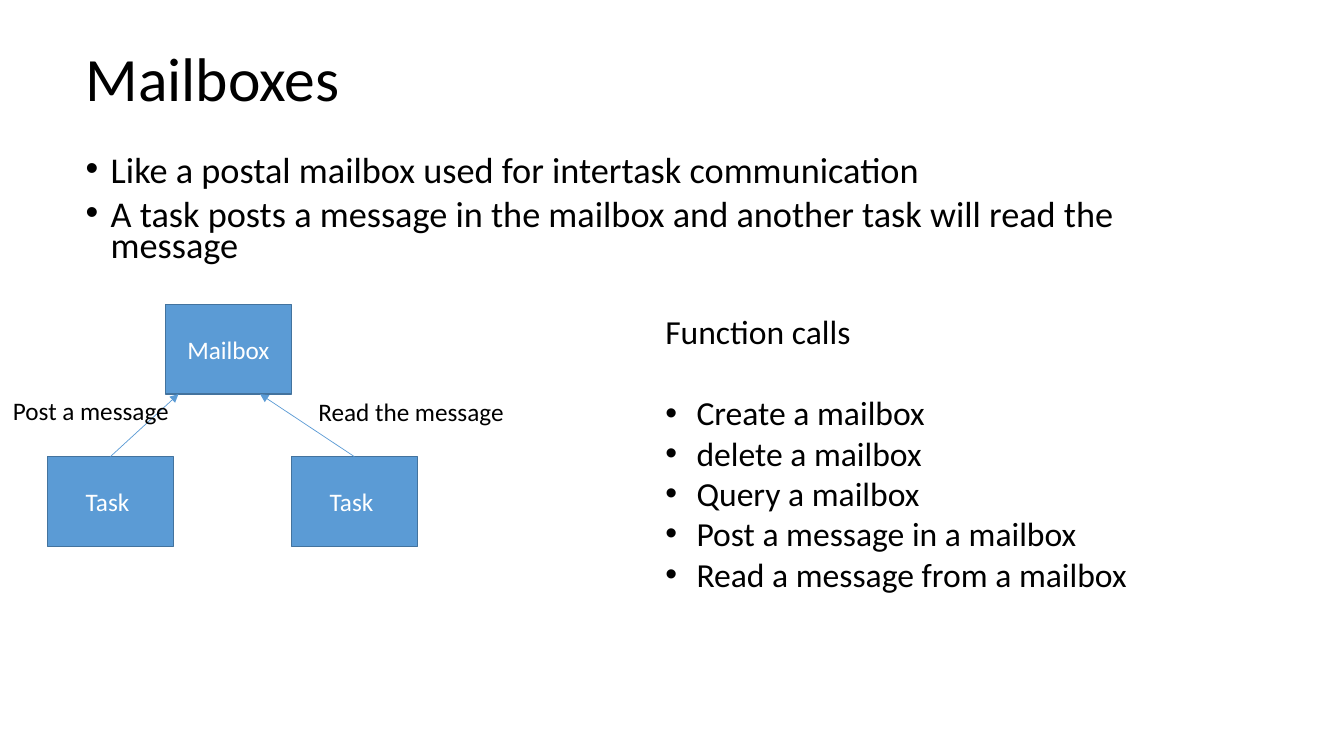
import pptx
import pptx.util
import pptx.dml.color
import pptx.enum.text
import pptx.enum.shapes
import pptx.oxml.ns
import lxml.etree

WIDE, HIGH = 13.33, 7.5
FONT = "Calibri"
BLACK, WHITE, BLUE, EDGE = "000000", "FFFFFF", "5B9BD5", "43739E"

TITLE = "Mailboxes"
POINTS = [
    "Like a postal mailbox used for intertask communication",
    "A task posts a message in the mailbox and another task will read the message",
]
CALLS = [
    "Create a mailbox",
    "delete a mailbox",
    "Query a mailbox",
    "Post a message in a mailbox",
    "Read a message from a mailbox",
]
HEAD = "Function calls"
BOX = (1.25, 0.89)
TOP, LOW = 3.02, 4.53
MAIL = ("Mailbox", 1.64, TOP)
TASKS = [("Task ", 2.89, LOW, 2.58), ("Task ", 0.47, LOW, 1.77)]
LABELS = [
    ("Post a message", (0.03, 3.87, 1.76, 0.4)),
    ("Read the message", (3.06, 3.88, 2.06, 0.4)),
]

inch = pptx.util.Inches
pts = pptx.util.Pt
align = pptx.enum.text.PP_ALIGN
anchor = pptx.enum.text.MSO_ANCHOR
fit = pptx.enum.text.MSO_AUTO_SIZE
kinds = pptx.enum.shapes

deck = pptx.Presentation()
deck.slide_width, deck.slide_height = inch(WIDE), inch(HIGH)
slide = deck.slides.add_slide(deck.slide_layouts[6])


def color(code):
    return pptx.dml.color.RGBColor.from_string(code)


def child(node, tag, **attrs):
    return lxml.etree.SubElement(node, pptx.oxml.ns.qn(tag), attrs)


def write(frame, lines, size, tint=BLACK, first=0, dent=0):
    paras = []
    for i, line in enumerate(lines):
        para = frame.paragraphs[0] if i == 0 else frame.add_paragraph()
        para.text = line
        if dent and i >= first:
            props = para._p.get_or_add_pPr()
            props.set("marL", str(inch(dent)))
            props.set("indent", str(-inch(dent)))
            child(props, "a:buFont", typeface="Arial")
            child(props, "a:buChar", char="•")
        para.font.size, para.font.name = pts(size), FONT
        para.font.color.rgb = color(tint)
        paras.append(para)
    return paras


def text(area, lines, size, wrap=True, **style):
    frame = slide.shapes.add_textbox(*map(inch, area)).text_frame
    frame.word_wrap = wrap
    frame.auto_size = fit.NONE if wrap else fit.SHAPE_TO_FIT_TEXT
    return frame, write(frame, lines, size, **style)


def block(label, left, top):
    shape = slide.shapes.add_shape(
        kinds.MSO_SHAPE.RECTANGLE, *map(inch, (left, top, *BOX)))
    shape.shadow.inherit = False
    shape.fill.solid()
    shape.fill.fore_color.rgb = color(BLUE)
    shape.line.color.rgb = color(EDGE)
    shape.line.width = pts(1)
    shape.text_frame.vertical_anchor = anchor.MIDDLE
    write(shape.text_frame, [label], 18, WHITE)[0].alignment = align.CENTER
    return shape


def arrow(task, end):
    line = slide.shapes.add_connector(
        kinds.MSO_CONNECTOR.STRAIGHT, task.left + task.width // 2, task.top,
        inch(end), inch(TOP + BOX[1]))
    line.begin_connect(task, 0)
    line.line.color.rgb = color(BLUE)
    line.line.width = pts(0.5)
    child(line.line._get_or_add_ln(), "a:tailEnd", type="triangle")
    child(line._element.spPr, "a:effectLst")


frame, paras = text((0.75, 0.08, 11.5, 1.45), [TITLE], 44)
frame.vertical_anchor = anchor.MIDDLE
paras[0].line_spacing = 0.9

frame, paras = text((0.75, 1.53, 11.5, 1.23), POINTS, 25.9, dent=0.25)
for para in paras:
    para.line_spacing = 0.7
for para in paras[1:]:
    para.space_before = pts(10)

block(*MAIL)
tasks = [(block(label, left, top), end) for label, left, top, end in TASKS]
for task, end in reversed(tasks):
    arrow(task, end)

for label, area in LABELS:
    text(area, [label], 18, wrap=False)

frame, paras = text((6.5, 3.04, 4.82, 3.33), [HEAD, *CALLS], 24,
                    wrap=False, first=1, dent=0.31)
paras[1].space_before = pts(29)

deck.save("out.pptx")
